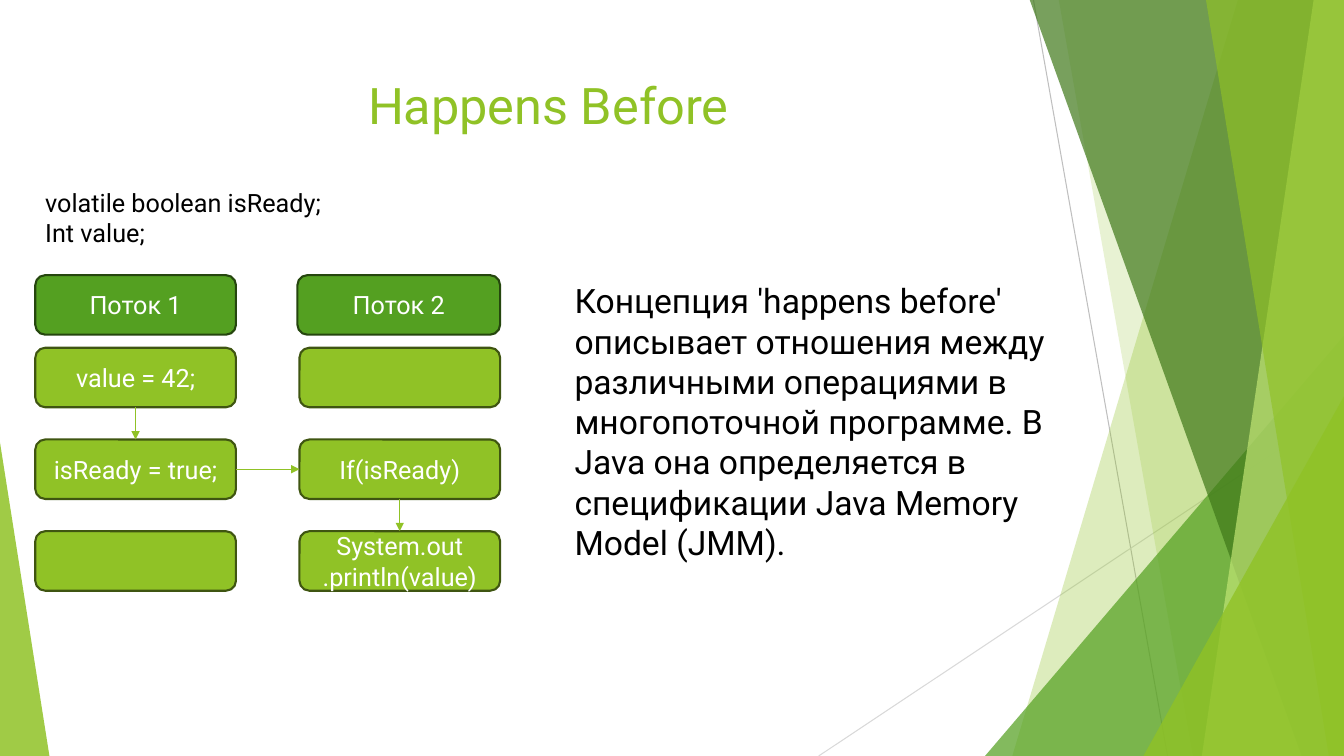
from lxml import etree
from pptx import Presentation
from pptx.dml.color import RGBColor
from pptx.enum.shapes import MSO_CONNECTOR, MSO_SHAPE
from pptx.enum.text import MSO_ANCHOR, MSO_AUTO_SIZE, PP_ALIGN
from pptx.oxml.ns import qn
from pptx.util import Inches, Pt

STRAIGHT = MSO_CONNECTOR.STRAIGHT
ROUNDED = MSO_SHAPE.ROUNDED_RECTANGLE
TRIANGLE = MSO_SHAPE.ISOSCELES_TRIANGLE
MIDDLE, TOP_ANCHOR = MSO_ANCHOR.MIDDLE, MSO_ANCHOR.TOP
CENTER, LEFT_ALIGN = PP_ALIGN.CENTER, PP_ALIGN.LEFT
FIT_SHAPE, NO_FIT = MSO_AUTO_SIZE.SHAPE_TO_FIT_TEXT, MSO_AUTO_SIZE.NONE
TOP, LEFT, BOTTOM, RIGHT = range(4)

FONT = "Roboto"
WIDTH, HEIGHT = 13.33, 7.5
COLORS = {
    "lime": "90C226", "lime_edge": "3F5511", "pale_lime": "C0E474",
    "green": "54A021", "green_edge": "25460E", "dark_green": "3F7819",
    "gray": "BFBFBF", "light_gray": "D9D9D9",
    "white": "FFFFFF", "black": "000000",
}


def rgb(name):
    return RGBColor.from_string(COLORS[name])


def fill_shape(shape, color, opacity=100):
    shape.shadow.inherit = False
    shape.fill.solid()
    shape.fill.fore_color.rgb = rgb(color)
    if opacity < 100:
        color_element = shape.element.spPr.find(qn("a:solidFill"))[0]
        etree.SubElement(color_element, qn("a:alpha"), val=str(opacity * 1000))


def write_text(text_frame, lines, size, color, align=LEFT_ALIGN, anchor=TOP_ANCHOR):
    text_frame.word_wrap = True
    text_frame.vertical_anchor = anchor
    text_frame.text = "\n".join(lines)
    for paragraph in text_frame.paragraphs:
        paragraph.alignment = align
        paragraph.font.name = FONT
        paragraph.font.size = Pt(size)
        paragraph.font.color.rgb = rgb(color)


def add_line(shapes, start, end, color, width):
    points = [Inches(value) for value in (*start, *end)]
    line = shapes.add_connector(STRAIGHT, *points)
    line.line.color.rgb = rgb(color)
    line.line.width = Pt(width)
    etree.SubElement(line.element.spPr, qn("a:effectLst"))
    return line


def add_band(shapes, top_left, top_right, bottom_right, bottom_left, color, opacity):
    """Draw a slanted band over the full slide height."""
    above = -0.01
    corners = [(top_left, above), (top_right, above),
               (bottom_right, HEIGHT), (bottom_left, HEIGHT)]
    points = [(Inches(x), Inches(y)) for x, y in corners]
    builder = shapes.build_freeform(*points[0])
    builder.add_line_segments(points[1:], close=True)
    band = builder.convert_to_shape()
    fill_shape(band, color, opacity)
    band.line.fill.background()


def add_triangle(shapes, left, top, width, apex, color, opacity):
    """Draw a right triangle standing on the bottom edge."""
    triangle = shapes.add_shape(TRIANGLE, Inches(left), Inches(top),
                                Inches(width), Inches(HEIGHT - top))
    triangle.adjustments[0] = apex
    fill_shape(triangle, color, opacity)
    triangle.line.fill.background()


def add_decoration(slide):
    shapes = slide.shapes.add_group_shape().shapes
    add_line(shapes, (10.25, 0), (11.58, HEIGHT), "gray", 0.75)
    add_line(shapes, (WIDTH, 4.03), (8.12, HEIGHT), "light_gray", 0.75)
    add_band(shapes, 12.28, WIDTH, WIDTH, 10.04, "lime", 30)
    add_band(shapes, 10.5, WIDTH, WIDTH, 11.83, "lime", 20)
    add_triangle(shapes, 9.77, 3.33, 3.56, 1, "green", 72)
    add_band(shapes, 10.21, WIDTH, WIDTH, 12.91, "dark_green", 70)
    add_band(shapes, 13.03, WIDTH, WIDTH, 11.92, "pale_lime", 70)
    add_band(shapes, 11.96, WIDTH, WIDTH, 13.18, "lime", 65)
    add_triangle(shapes, 11.34, 3.93, 1.99, 1, "lime", 80)
    add_triangle(shapes, 0, 4.39, 0.49, 0, "lime", 85)


def add_title(slide, text, left, top, width, height):
    title = slide.shapes.title
    title.left, title.top = Inches(left), Inches(top)
    title.width, title.height = Inches(width), Inches(height)
    write_text(title.text_frame, [text], 36, "lime", CENTER, MIDDLE)
    title.text_frame.auto_size = NO_FIT


def add_text_box(slide, lines, size, left, top, width, height):
    box = slide.shapes.add_textbox(Inches(left), Inches(top), Inches(width), Inches(height))
    write_text(box.text_frame, lines, size, "black")
    box.text_frame.auto_size = FIT_SHAPE


def add_step(slide, lines, color, left, top, width, height):
    step = slide.shapes.add_shape(ROUNDED, Inches(left), Inches(top),
                                  Inches(width), Inches(height))
    fill_shape(step, color)
    step.line.color.rgb = rgb(color + "_edge")
    step.line.width = Pt(1.5)
    if lines:
        write_text(step.text_frame, lines, 18, "white", CENTER, MIDDLE)
    return step


def add_arrow(slide, source, source_side, target, target_side):
    arrow = add_line(slide.shapes, (0, 0), (1, 1), "lime", 1)
    arrow.begin_connect(source, source_side)
    arrow.end_connect(target, target_side)
    etree.SubElement(arrow.line._get_or_add_ln(), qn("a:tailEnd"), type="triangle")


def add_threads(slide, left, top):
    """Draw two columns of steps, a header above each, and the order between them."""
    width, height = 1.99, 0.59
    first_step, pitch, column_pitch = 0.72, 0.91, 2.62
    threads = [
        ("Поток 1", [["value = 42;"], ["isReady = true;"], []]),
        ("Поток 2", [[], ["If(isReady)"], ["System.out", ".println(value)"]]),
    ]
    columns = []
    for column, (name, steps) in enumerate(threads):
        x = left + column * column_pitch
        overhang = 0.02 * column
        add_step(slide, [name], "green", x - overhang, top, width + overhang, height)
        columns.append([
            add_step(slide, lines, "lime", x, top + first_step + row * pitch, width, height)
            for row, lines in enumerate(steps)
        ])
    writer, reader = columns
    add_arrow(slide, writer[0], BOTTOM, writer[1], TOP)
    add_arrow(slide, writer[1], RIGHT, reader[1], LEFT)
    add_arrow(slide, reader[1], BOTTOM, reader[2], TOP)


def main():
    presentation = Presentation()
    presentation.slide_width = Inches(WIDTH)
    presentation.slide_height = Inches(HEIGHT)
    title_only = presentation.slide_layouts[5]
    slide = presentation.slides.add_slide(title_only)

    add_decoration(slide)
    add_title(slide, "Happens Before", 0.74, 0.67, 9.4, 0.73)
    add_threads(slide, 0.35, 2.73)
    # Shared variables and explanation
    add_text_box(slide, ["volatile boolean isReady;", "Int value;"], 18,
                 0.35, 1.81, 3.12, 0.71)
    add_text_box(slide, [
        "Концепция 'happens before' описывает отношения между различными "
        "операциями в многопоточной программе. В Java она определяется в "
        "спецификации Java Memory Model (JMM)."
    ], 24, 5.6, 2.73, 4.95, 2.93)

    presentation.save("out.pptx")


if __name__ == "__main__":
    main()
